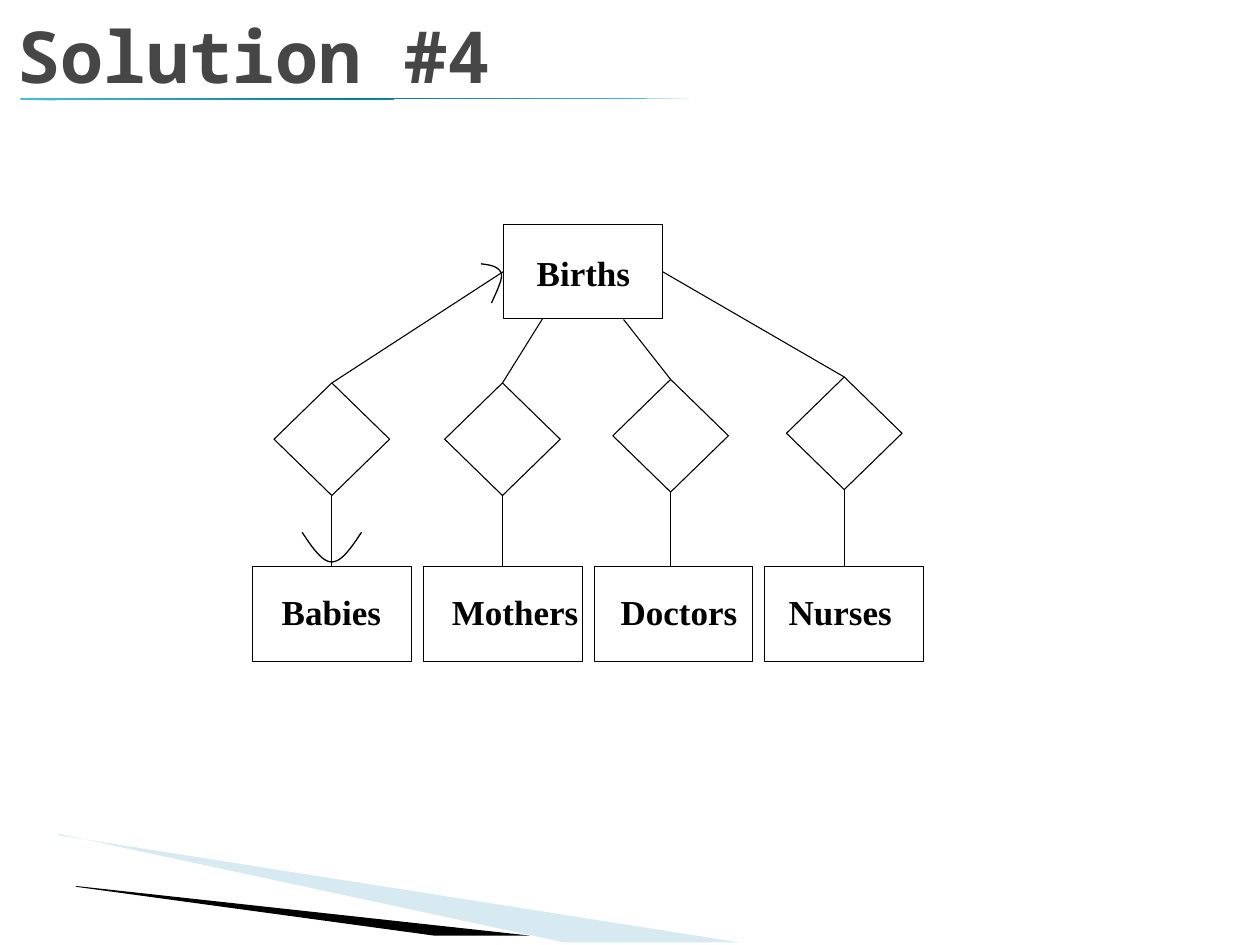
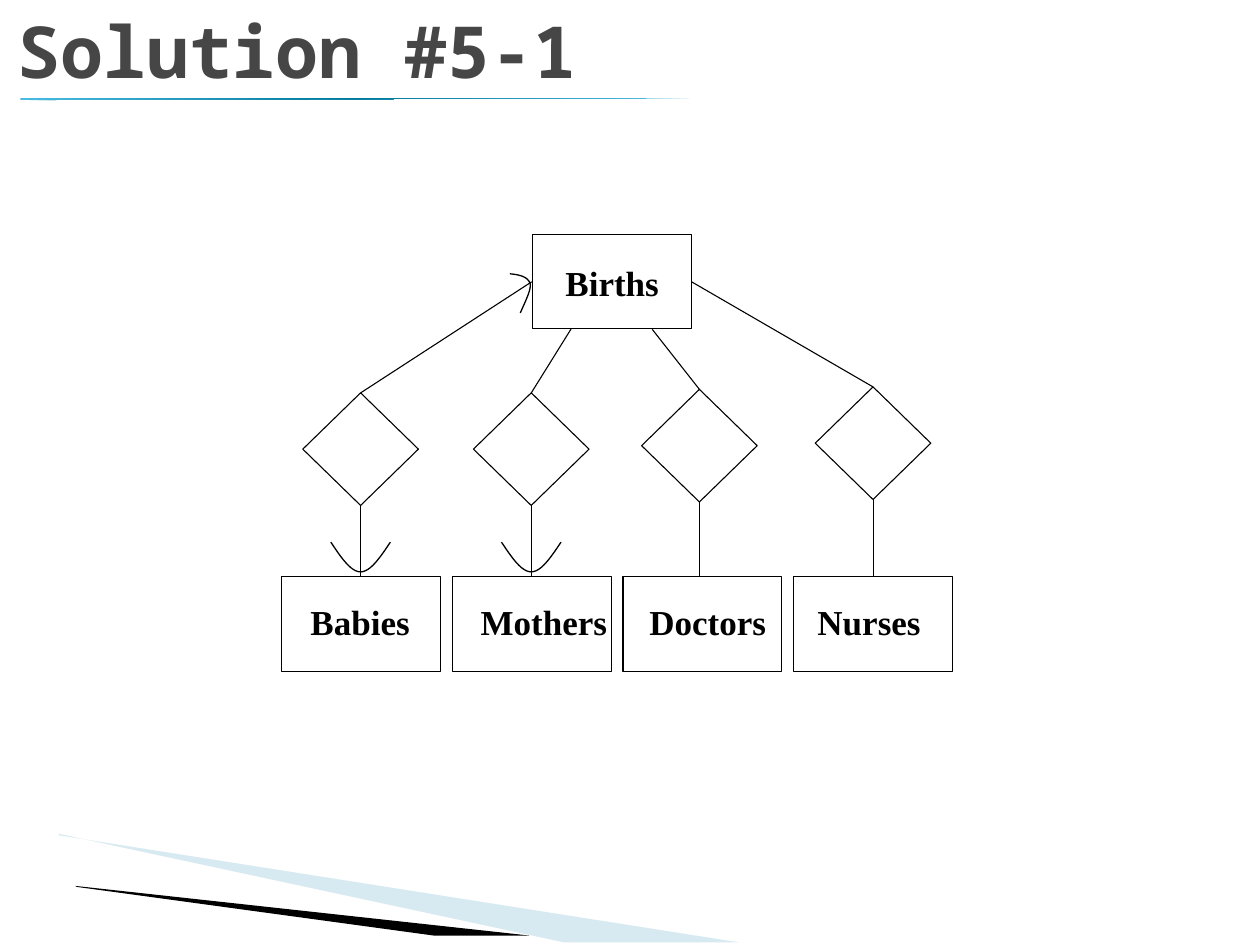
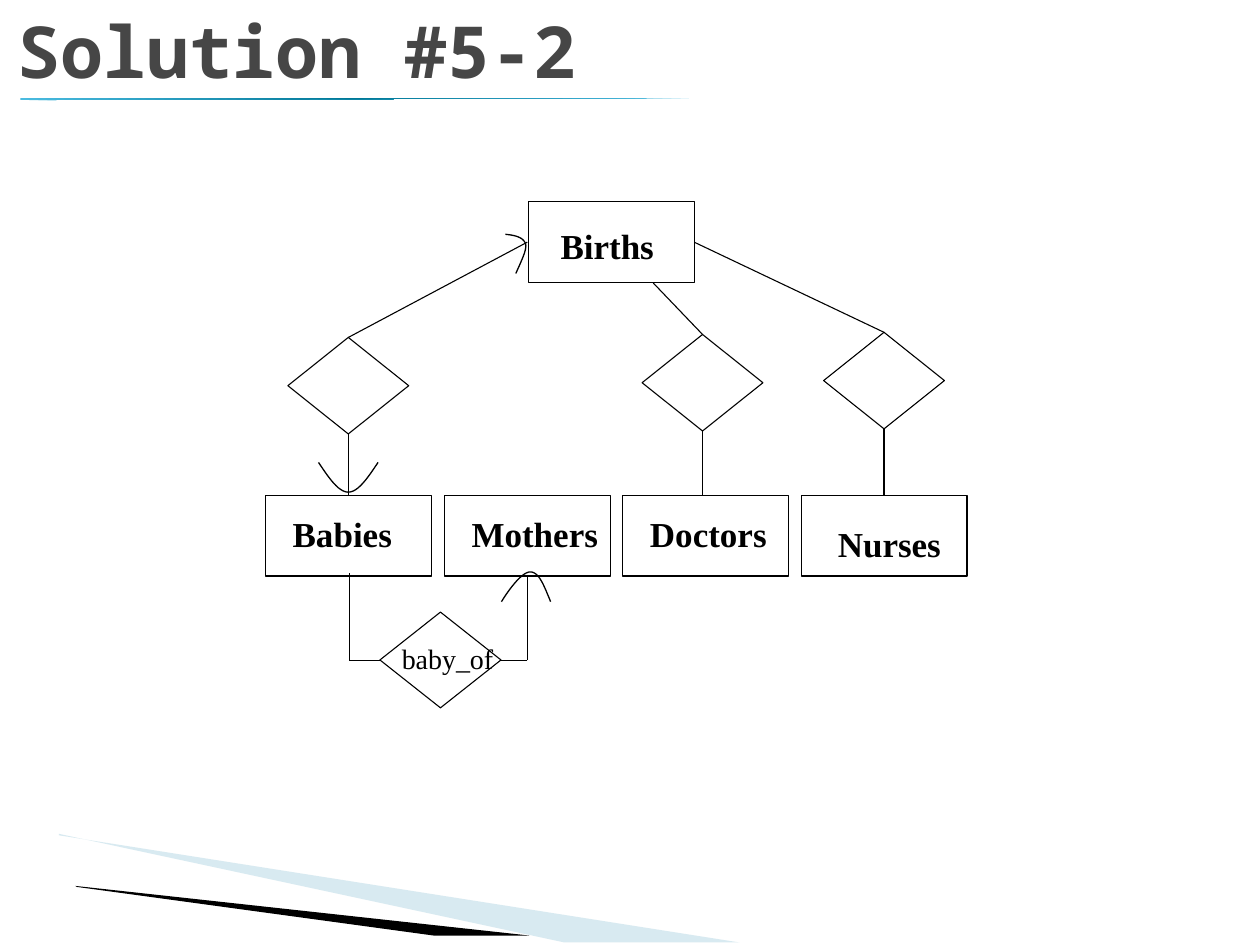
import copy

import pptx
import pptx.dml.color
import pptx.enum.shapes
import pptx.enum.text
import pptx.oxml.ns
import pptx.util
from lxml import etree

Cm = pptx.util.Cm
Pt = pptx.util.Pt
RGB = pptx.dml.color.RGBColor
SHAPE = pptx.enum.shapes.MSO_SHAPE
ANCHOR = pptx.enum.text.MSO_ANCHOR
AUTO_SIZE = pptx.enum.text.MSO_AUTO_SIZE
qn = pptx.oxml.ns.qn

BLACK = RGB(0x00, 0x00, 0x00)
WHITE = RGB(0xFF, 0xFF, 0xFF)
TITLE_GREY = RGB(0x46, 0x46, 0x46)
PALE_BLUE = RGB(0x9F, 0xCB, 0xDC)
SKY = RGB(0x4A, 0xBB, 0xE0)
TEAL = RGB(0x00, 0x78, 0x97)
TITLE_FONT, LABEL_FONT = "Noto Sans Mono", "Times New Roman"
THIN, CURVE = 0.62, 0.75

# All lengths are centimetres. The bands reach past their frames.
PALE_BAND = [(1.19, 16.84), (14.91, 19), (11.38, 19), (1.19, 16.81)]
PALE_FRAME = (1.78, 14.6, 10.57, 3.4)
BLACK_BAND = [(1.52, 17.86), (10.67, 18.86), (8.74, 18.86), (1.55, 17.88)]
BLACK_FRAME = (0.2, 17.7, 9.42, 0.89)
TITLE_RULE = (0.41, 1.98, 13.49, 0.04)

# The diagram grid: x from the left of Babies, y from the top of Births.
BOX_W, BOX_H = 3.2, 1.9
DIAMOND_W, DIAMOND_H = 2.33, 2.27
ROW_TOP, ROW_STEP = 6.91, 3.44
ENTITIES = ["Babies", "Mothers", "Doctors", "Nurses"]
BOXES = {name: (i * ROW_STEP, ROW_TOP) for i, name in enumerate(ENTITIES)}
BOXES["Births"] = (5.06, 0)
LABEL_WIDTHS = {"Babies": 2.02, "Mothers": 2.57, "Doctors": 2.37,
                "Nurses": 2.1, "Births": 1.9}
# entity: (top corner of its diamond, where its link meets Births)
RELATIONS = {
    "Babies": ((1.59, 3.2), (5.04, 0.96)),
    "Mothers": ((5.03, 3.2), (5.84, 1.9)),
    "Doctors": ((8.42, 3.13), (7.47, 1.92)),
    "Nurses": ((11.92, 3.08), (8.26, 0.96)),
}

# Rounded arrowheads: two joined Bezier curves, relative to the tip.
HOOK = [(-0.46, -0.15), (-0.28, -0.13), (-0.1, -0.1), (-0.05, 0.05),
        (-0.03, 0.18), (-0.15, 0.41), (-0.25, 0.64)]
CUP = [(-0.6, -0.6), (-0.4, -0.3), (-0.2, 0), (0, 0),
       (0.2, 0), (0.4, -0.3), (0.6, -0.6)]
CAP = [(-0.58, 0.6), (-0.38, 0.28), (-0.15, 0), (0, 0),
       (0.18, 0), (0.28, 0.28), (0.41, 0.6)]

LABELS_TALL = {"Babies": (0.58, 0.48), "Mothers": (0.57, 0.48),
               "Doctors": (0.53, 0.48), "Nurses": (0.48, 0.48),
               "Births": (0.66, 0.56)}
LABELS_FLAT = {"Babies": (0.54, 0.35), "Mothers": (0.55, 0.35),
               "Doctors": (0.55, 0.35), "Nurses": (0.74, 0.55),
               "Births": (0.65, 0.46)}

SLIDES = [
    dict(title="Solution #4", title_top=0.1, origin=(5.1, 4.52), scale=(1, 1),
         labels=LABELS_TALL, related=ENTITIES, cups=["Babies"], cup_gap=0.1),
    dict(title="Solution #5-1", title_top=0, origin=(5.68, 4.72), scale=(1, 1),
         labels=LABELS_TALL, related=ENTITIES, cups=["Babies", "Mothers"],
         cup_gap=0.1),
    dict(title="Solution #5-2", title_top=0, origin=(5.36, 4.06),
         scale=(23 / 22, 6 / 7), labels=LABELS_FLAT,
         related=["Babies", "Doctors", "Nurses"], cups=["Babies"],
         cup_gap=0.06),
]

BABY_OF = dict(
    text="baby_of", diamond=(7.66, 12.34, 2.44, 1.93),
    label=(8.1, 12.93, 1.87, 0.69), tip=(10.69, 11.53),
    paths=[[(7.04, 11.56), (7.04, 13.31), (7.66, 13.31)],
           [(10.1, 13.31), (10.63, 13.31), (10.63, 11.63)]],
)


def add_text(s, text, box, size, font=LABEL_FONT, color=BLACK, bold=True,
             anchor=ANCHOR.TOP, insets=(0, 0), wrap=False):
    tf = s.shapes.add_textbox(*map(Cm, box)).text_frame
    tf.word_wrap = wrap
    tf.auto_size = AUTO_SIZE.NONE if wrap else AUTO_SIZE.SHAPE_TO_FIT_TEXT
    tf.vertical_anchor = anchor
    tf.margin_left = tf.margin_right = Cm(insets[0])
    tf.margin_top = tf.margin_bottom = Cm(insets[1])
    r = tf.paragraphs[0].add_run()
    r.text = text
    r.font.name, r.font.size, r.font.bold = font, Pt(size), bold
    r.font.color.rgb = color


def add_outlined(s, kind, box):
    sp = s.shapes.add_shape(kind, *map(Cm, box))
    sp.shadow.inherit = False
    sp.fill.solid()
    sp.fill.fore_color.rgb = WHITE
    sp.line.color.rgb = BLACK
    sp.line.width = Pt(THIN)


def add_line(s, start, end):
    line = s.shapes.add_connector(pptx.enum.shapes.MSO_CONNECTOR.STRAIGHT,
                                  *map(Cm, (*start, *end)))
    line.line.color.rgb = BLACK
    line.line.width = Pt(THIN)
    etree.SubElement(line._element.spPr, qn("a:effectLst"))


def add_outline(s, points, close):
    points = [(Cm(x), Cm(y)) for x, y in points]
    builder = s.shapes.build_freeform(*points[0])
    builder.add_line_segments(points[1:], close=close)
    sp = builder.convert_to_shape()
    sp.shadow.inherit = False
    return sp


def set_frame(sp, frame):
    """Give a freeform another frame while its outline stays in place."""
    left, top, width, height = map(Cm, frame)
    dx, dy = sp.left - left, sp.top - top
    for pt in sp._element.spPr.iter(qn("a:pt")):
        pt.set("x", str(int(pt.get("x")) + dx))
        pt.set("y", str(int(pt.get("y")) + dy))
    outline = sp._element.spPr.find(".//" + qn("a:path"))
    outline.set("w", str(width))
    outline.set("h", str(height))
    sp.left, sp.top, sp.width, sp.height = left, top, width, height


def add_band(s, points, frame, color, alpha=None):
    sp = add_outline(s, points, close=True)
    set_frame(sp, frame)
    sp.line.fill.background()
    sp.fill.solid()
    sp.fill.fore_color.rgb = color
    if alpha:
        clr = sp._element.spPr.find(".//" + qn("a:srgbClr"))
        etree.SubElement(clr, qn("a:alpha"), val=str(alpha * 1000))


def bezier(p0, p1, p2, p3, steps=12):
    """Points along a cubic curve, both ends included."""
    for i in range(steps + 1):
        t = i / steps
        u = 1 - t
        yield tuple(u**3 * a + 3 * u * u * t * b + 3 * u * t * t * c + t**3 * d
                    for a, b, c, d in zip(p0, p1, p2, p3))


def add_round_head(s, curve, tip):
    points = [*bezier(*curve[:4]), *list(bezier(*curve[3:]))[1:]]
    sp = add_outline(s, [(tip[0] + x, tip[1] + y) for x, y in points],
                     close=False)
    sp.fill.background()
    sp.line.color.rgb = BLACK
    sp.line.width = Pt(CURVE)


def add_title_rule(s):
    sp = s.shapes.add_shape(SHAPE.RIGHT_TRIANGLE, *map(Cm, TITLE_RULE))
    sp.shadow.inherit = False
    sp.line.fill.background()
    sp._element.spPr.xfrm.set("flipV", "1")
    sp.fill.gradient()
    sp.fill.gradient_angle = 310
    stops = sp._element.spPr.find(".//" + qn("a:gsLst"))
    stops.append(copy.deepcopy(stops[-1]))
    for stop, color, pos in zip(sp.fill.gradient_stops, (SKY, TEAL, SKY),
                                (0, 0.5, 1)):
        stop.color.rgb = color
        stop.position = pos


def add_frame(s, title, top):
    """Bands, rule and title that every slide has."""
    add_band(s, PALE_BAND, PALE_FRAME, PALE_BLUE, alpha=40)
    add_band(s, BLACK_BAND, BLACK_FRAME, BLACK)
    add_title_rule(s)
    add_text(s, title, (0.1, top, 21.64, 2.01), 41, font=TITLE_FONT,
             color=TITLE_GREY, anchor=ANCHOR.BOTTOM, insets=(0.25, 0.13),
             wrap=True)


def add_diagram(s, origin, scale, labels, related, cups, cup_gap):
    def place(x, y):
        return origin[0] + x * scale[0], origin[1] + y * scale[1]

    def size(w, h):
        return w * scale[0], h * scale[1]

    for name, corner in BOXES.items():
        x, y = place(*corner)
        dx, dy = labels[name]
        add_outlined(s, SHAPE.RECTANGLE, (x, y, *size(BOX_W, BOX_H)))
        add_text(s, name, (x + dx, y + dy, LABEL_WIDTHS[name], 0.84), 20)

    for name in related:
        (x, y), births_end = RELATIONS[name]
        add_outlined(s, SHAPE.DIAMOND, (*place(x - DIAMOND_W / 2, y),
                                        *size(DIAMOND_W, DIAMOND_H)))
        add_line(s, place(x, y), place(*births_end))
        add_line(s, place(x, y + DIAMOND_H), place(x, ROW_TOP))

    births_x, births_y = BOXES["Births"]
    add_round_head(s, HOOK, place(births_x, births_y + BOX_H / 2))
    for name in cups:
        x, y = place(RELATIONS[name][0][0], ROW_TOP)
        add_round_head(s, CUP, (x, y - cup_gap))


def add_baby_of(s):
    add_outlined(s, SHAPE.DIAMOND, BABY_OF["diamond"])
    add_text(s, BABY_OF["text"], BABY_OF["label"], 16, bold=False)
    for points in BABY_OF["paths"]:
        for start, end in zip(points, points[1:]):
            add_line(s, start, end)
    add_round_head(s, CAP, BABY_OF["tip"])


def main():
    prs = pptx.Presentation()
    prs.slide_width, prs.slide_height = Cm(25.4), Cm(19.05)
    for content in SLIDES:
        s = prs.slides.add_slide(prs.slide_layouts[6])
        diagram = dict(content)
        add_frame(s, diagram.pop("title"), diagram.pop("title_top"))
        add_diagram(s, **diagram)
    add_baby_of(s)
    prs.save("out.pptx")


if __name__ == "__main__":
    main()
